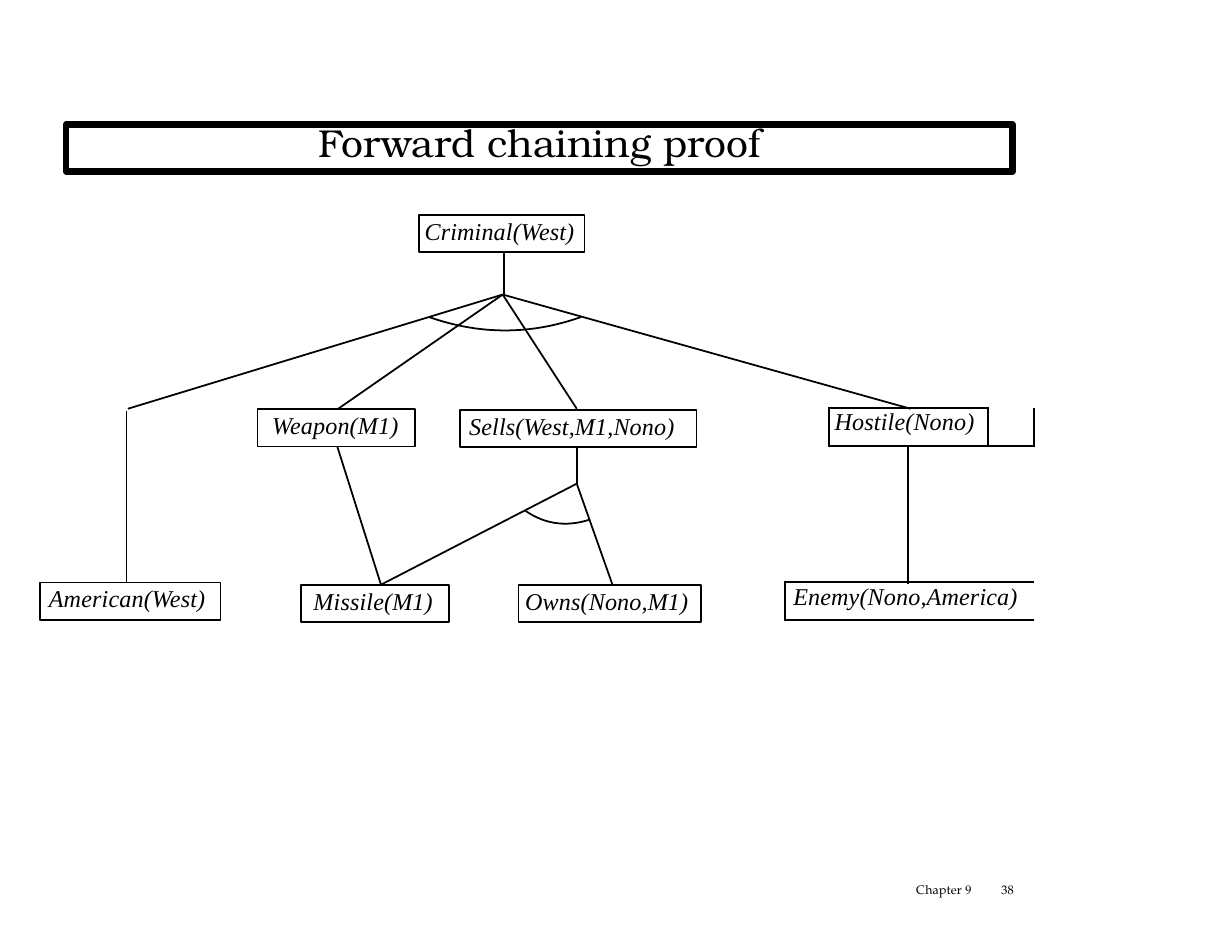
import pptx
import pptx.dml.color
import pptx.enum.shapes
import pptx.enum.text
import pptx.oxml
import pptx.oxml.ns
import pptx.util
from lxml import etree

Cm, Pt = pptx.util.Cm, pptx.util.Pt
COLORS = {"ink": "000000"}
FONTS = {"title": "TeX Gyre Bonum", "node": "Times New Roman", "foot": "TeX Gyre Pagella"}
NODE = dict(font=FONTS["node"], size=15.5, italic=True, spacing=0.1, top=0.03)
NO_GRID = "{2D5ABB26-0587-4C30-8999-92F81FD0307C}"


def ink():
    return pptx.dml.color.RGBColor.from_string(COLORS["ink"])


def outline(sp, width):
    sp.line.color.rgb = ink()
    sp.line.width = Pt(width)


def write(tf, text, font, size, italic=False, spacing=0, align="LEFT", indent=0,
          before=0, leading=None, top=0):
    """Put one formatted paragraph in a text frame."""
    tf.margin_left = tf.margin_right = tf.margin_bottom = 0
    tf.margin_top = Cm(top)
    tf.vertical_anchor = pptx.enum.text.MSO_ANCHOR.TOP
    tf.word_wrap = True
    format_paragraph(tf.paragraphs[0], text, font, size, italic, spacing, align,
                     indent, before, leading)


def format_paragraph(p, text, font, size, italic=False, spacing=0, align="LEFT",
                     indent=0, before=0, leading=None):
    p.alignment = getattr(pptx.enum.text.PP_ALIGN, align)
    p.space_before = Pt(before)
    if leading:
        p.line_spacing = Pt(leading)
    pPr = p._p.get_or_add_pPr()
    pPr.set("marL", str(Cm(indent)))
    pPr.set("indent", "0")
    r = p.add_run()
    r.text = text
    r.font.name, r.font.size, r.font.italic = font, Pt(size), italic
    r.font.color.rgb = ink()
    r._r.get_or_add_rPr().set("spc", str(round(spacing * 100)))


def add_title(s, x, y, w, h):
    sp = s.shapes.title
    sp.left, sp.top, sp.width, sp.height = Cm(x), Cm(y), Cm(w), Cm(h)
    outline(sp, 4.08)
    sp.text_frame.auto_size = pptx.enum.text.MSO_AUTO_SIZE.NONE
    write(sp.text_frame, "Forward chaining proof", FONTS["title"], 25,
          align="CENTER", leading=26.4)


def add_node(s, text, x, y, w, h, indent, before):
    sp = s.shapes.add_shape(pptx.enum.shapes.MSO_SHAPE.RECTANGLE, Cm(x), Cm(y), Cm(w), Cm(h))
    sp.shadow.inherit = False
    sp.fill.background()
    outline(sp, 1.13)
    write(sp.text_frame, text, indent=indent, before=before, **NODE)


def add_line(s, x1, y1, x2, y2):
    sp = s.shapes.add_connector(pptx.enum.shapes.MSO_CONNECTOR.STRAIGHT,
                                Cm(x1), Cm(y1), Cm(x2), Cm(y2))
    outline(sp, 1.13)
    etree.SubElement(sp._element.spPr, pptx.oxml.ns.qn("a:effectLst"))


def add_arc(s, start, control, end, steps=20):
    """Draw the AND mark as a sampled quadratic curve."""
    points = []
    for i in range(steps + 1):
        t = i / steps
        points.append(tuple(Cm((1 - t) ** 2 * a + 2 * t * (1 - t) * b + t ** 2 * c)
                            for a, b, c in zip(start, control, end)))
    builder = s.shapes.build_freeform(*points[0])
    builder.add_line_segments(points[1:], close=False)
    sp = builder.convert_to_shape()
    sp.shadow.inherit = False
    sp.fill.background()
    outline(sp, 1.13)


def add_borders(cell, sides):
    tcPr = cell._tc.get_or_add_tcPr()
    for i, side in enumerate(s for s in "LRTB" if s in sides):
        tcPr.insert(i, pptx.oxml.parse_xml(
            f'<a:ln{side} {pptx.oxml.ns.nsdecls("a")} w="{Pt(1.5)}"><a:solidFill>'
            f'<a:srgbClr val="{COLORS["ink"]}"/></a:solidFill></a:ln{side}>'))


def add_hostile_table(s, x, y):
    """Hostile and Enemy boxes, joined by the border between two cells."""
    cols, rows = (0.99, 1.8, 1.8, 1.04), (0.86, 3.1, 0.84)
    frame = s.shapes.add_table(len(rows), len(cols), Cm(x), Cm(y), Cm(sum(cols)), Cm(sum(rows)))
    table = frame.table
    table.first_row = table.horz_banding = False
    table._tbl.tblPr.find(pptx.oxml.ns.qn("a:tableStyleId")).text = NO_GRID
    for col, w in zip(table.columns, cols):
        col.width = Cm(w)
    for row, h in zip(table.rows, rows):
        row.height = Cm(h)
    for cell in table.iter_cells():
        cell.fill.background()
        cell.margin_left = cell.margin_right = cell.margin_top = cell.margin_bottom = 0
    for (r1, c1), (r2, c2) in (((0, 1), (0, 2)), ((1, 0), (1, 1)),
                               ((1, 2), (1, 3)), ((2, 0), (2, 3))):
        table.cell(r1, c1).merge(table.cell(r2, c2))
    borders = {(0, 0): "R", (0, 1): "LRTB", (0, 2): "RTB", (0, 3): "LB",
               (1, 0): "RB", (1, 1): "RTB", (1, 2): "LTB", (1, 3): "TB",
               (2, 0): "LTB", (2, 1): "TB", (2, 2): "TB", (2, 3): "RTB"}
    for (row, col), sides in borders.items():
        add_borders(table.cell(row, col), sides)
    style = {k: v for k, v in NODE.items() if k != "top"}
    for row, col, text, indent, before in ((0, 1, "Hostile(Nono)", 0.13, 1.1),
                                           (2, 0, "Enemy(Nono,America)", 0.18, 0.5)):
        cell = table.cell(row, col)
        cell.margin_top = Cm(NODE["top"])
        format_paragraph(cell.text_frame.paragraphs[0], text, indent=indent,
                         before=before, **style)


def add_proof_tree(s, x, y):
    apex, fork, missile = (10.49, 1.8), (12.17, 6.09), (7.73, 8.38)
    edges = [((10.52, 0.84), (10.52, 1.8)), ((1.96, 4.44), (1.96, 8.33)),
             ((6.74, 5.25), missile), ((12.17, 5.25), fork),
             (fork, missile), (fork, (12.98, 8.38))]
    edges += [(apex, (child, 4.39)) for child in (1.99, 6.76, 12.17, 19.74)]
    add_hostile_table(s, x + 16.9, y + 4.37)
    for (x1, y1), (x2, y2) in edges:
        add_line(s, x + x1, y + y1, x + x2, y + y2)
    for arc in (((8.82, 2.31), (10.55, 2.92), (12.27, 2.31)),
                ((11, 6.7), (11.66, 7.16), (12.45, 6.91))):
        add_arc(s, *[(x + px, y + py) for px, py in arc])
    for text, dx, dy, w, h, indent, before in (
            ("Criminal(West)", 8.59, 0, 3.76, 0.84, 0.13, 0.5),
            ("Weapon(M1)", 4.93, 4.39, 3.58, 0.86, 0.33, 1.1),
            ("Sells(West,M1,Nono)", 9.53, 4.42, 5.36, 0.84, 0.2, 0.6),
            ("American(West)", 0, 8.33, 4.09, 0.86, 0.2, 1.1),
            ("Missile(M1)", 5.92, 8.38, 3.35, 0.84, 0.28, 0.5),
            ("Owns(Nono,M1)", 10.85, 8.38, 4.14, 0.84, 0.15, 0.5)):
        add_node(s, text, x + dx, y + dy, w, h, indent, before)


def add_footer(s, x, y, h):
    for text, dx, w, indent in (("Chapter 9", 0, 1.37, 0.03), ("38", 1.86, 0.53, 0.1)):
        sp = s.shapes.add_textbox(Cm(x + dx), Cm(y), Cm(w), Cm(h))
        write(sp.text_frame, text, FONTS["foot"], 8, spacing=0.1, indent=indent, leading=8.8)


def main():
    prs = pptx.Presentation()
    prs.slide_width, prs.slide_height = Cm(27.94), Cm(21.59)
    s = prs.slides.add_slide(prs.slide_layouts[5])
    add_title(s, 1.5, 2.82, 21.46, 1.07)
    add_proof_tree(s, 0.91, 4.88)
    add_footer(s, 20.75, 20.04, 0.36)
    prs.save("out.pptx")


if __name__ == "__main__":
    main()
